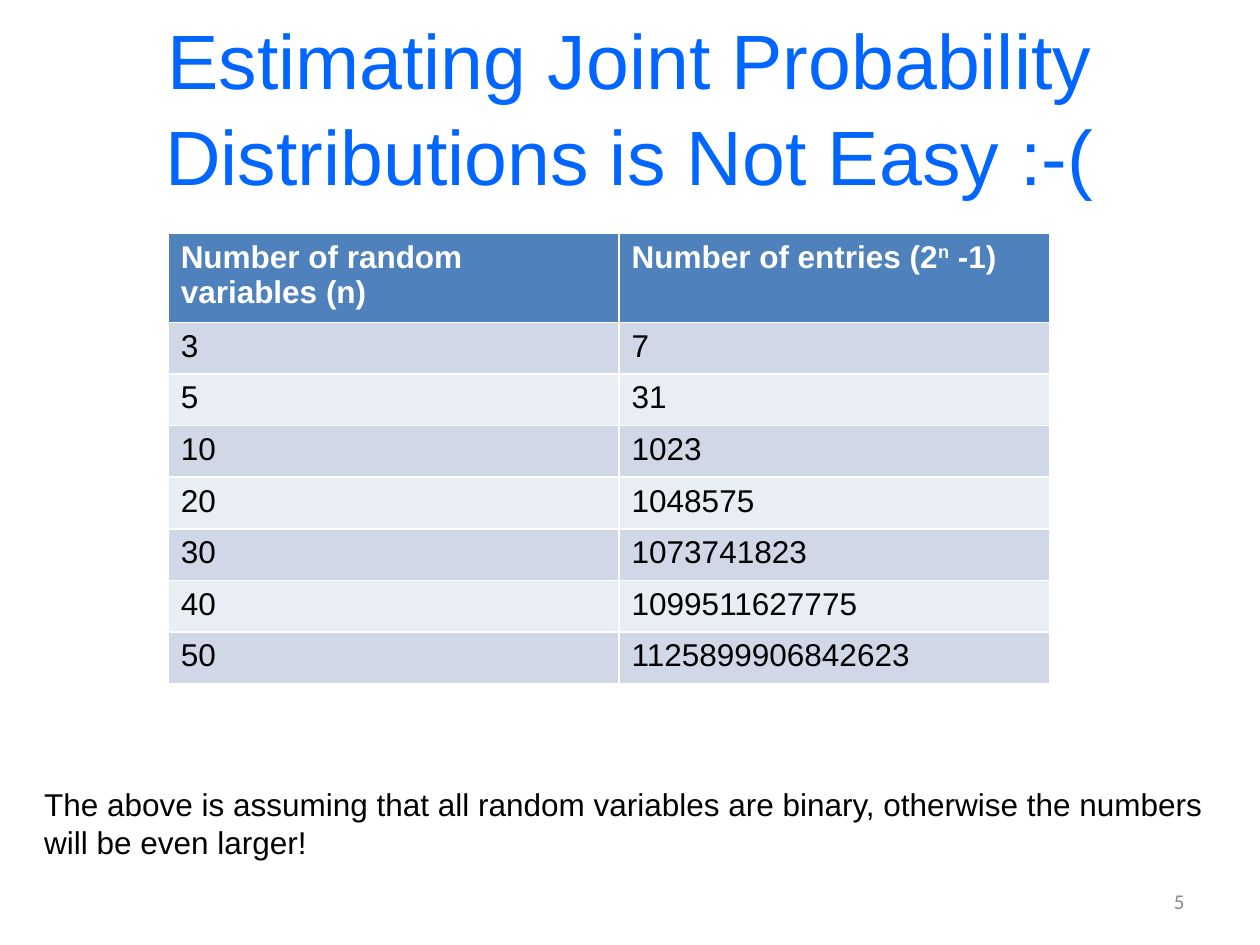
from pptx import Presentation
from pptx.dml.color import RGBColor
from pptx.enum.text import MSO_ANCHOR as Anchor, MSO_AUTO_SIZE as AutoSize, PP_ALIGN as Align
from pptx.util import Cm, Pt

BLUE = RGBColor(0x00, 0x66, 0xFF)
BLACK = RGBColor(0x00, 0x00, 0x00)
WHITE = RGBColor(0xFF, 0xFF, 0xFF)
GREY = RGBColor(0x89, 0x89, 0x89)
HEADER_FILL = RGBColor(0x4F, 0x81, 0xBD)
BAND_FILLS = [RGBColor(0xD0, 0xD8, 0xE8), RGBColor(0xE9, 0xED, 0xF4)]


def add_text(paragraph, text, size=18, font="Arial", color=BLACK, bold=False,
             align=None, superscript=False):
    run = paragraph.add_run()
    run.text = text
    run.font.size = Pt(size)
    run.font.name = font
    run.font.bold = bold
    run.font.color.rgb = color
    if superscript:
        run.font._element.set("baseline", "30000")
    if align is not None:
        paragraph.alignment = align


presentation = Presentation()
presentation.slide_width, presentation.slide_height = Cm(25.4), Cm(19.05)
slide = presentation.slides.add_slide(presentation.slide_layouts[5])

# Title
title = slide.shapes.title
title.left, title.top, title.width, title.height = Cm(1.9), Cm(0.53), Cm(21.6), Cm(3.18)
title.text_frame.auto_size = AutoSize.NONE
title.text_frame.vertical_anchor = Anchor.MIDDLE
title.text_frame.paragraphs[0].line_spacing = 1.04
add_text(title.text_frame.paragraphs[0],
         "Estimating Joint Probability Distributions is Not Easy :-(",
         size=44, color=BLUE, align=Align.CENTER)

# Table: n against 2^n - 1, with white rules from the default table style
variable_counts = [3, 5, 10, 20, 30, 40, 50]
table = slide.shapes.add_table(len(variable_counts) + 1, 2,
                               Cm(3.39), Cm(4.7), Cm(17.78), Cm(9.07)).table
table.columns[0].width, table.columns[1].width = Cm(9.09), Cm(8.69)
table.rows[0].height = Cm(1.8)

header = [[("Number of random variables (n)", False)],
          [("Number of entries (2", False), ("n", True), (" -1)", False)]]
for column, pieces in enumerate(header):
    cell = table.cell(0, column)
    cell.fill.solid()
    cell.fill.fore_color.rgb = HEADER_FILL
    for text, raised in pieces:
        add_text(cell.text_frame.paragraphs[0], text, color=WHITE, bold=True,
                 superscript=raised)

for row, count in enumerate(variable_counts, start=1):
    table.rows[row].height = Cm(1.04)
    for column, value in enumerate([count, 2 ** count - 1]):
        cell = table.cell(row, column)
        cell.fill.solid()
        cell.fill.fore_color.rgb = BAND_FILLS[(row - 1) % 2]
        add_text(cell.text_frame.paragraphs[0], str(value))

# Remark below the table
remark = slide.shapes.add_textbox(Cm(0.64), Cm(15.7), Cm(24.26), Cm(1.8)).text_frame
remark.word_wrap = False
add_text(remark.paragraphs[0],
         "The above is assuming that all random variables are binary, otherwise the numbers")
add_text(remark.add_paragraph(), "will be even larger!")

# Slide number
number = slide.shapes.add_textbox(Cm(18.2), Cm(17.66), Cm(5.93), Cm(1.01)).text_frame
number.word_wrap = True
number.vertical_anchor = Anchor.MIDDLE
add_text(number.paragraphs[0], "5", size=12, font="Calibri", color=GREY, align=Align.RIGHT)

presentation.save("out.pptx")
